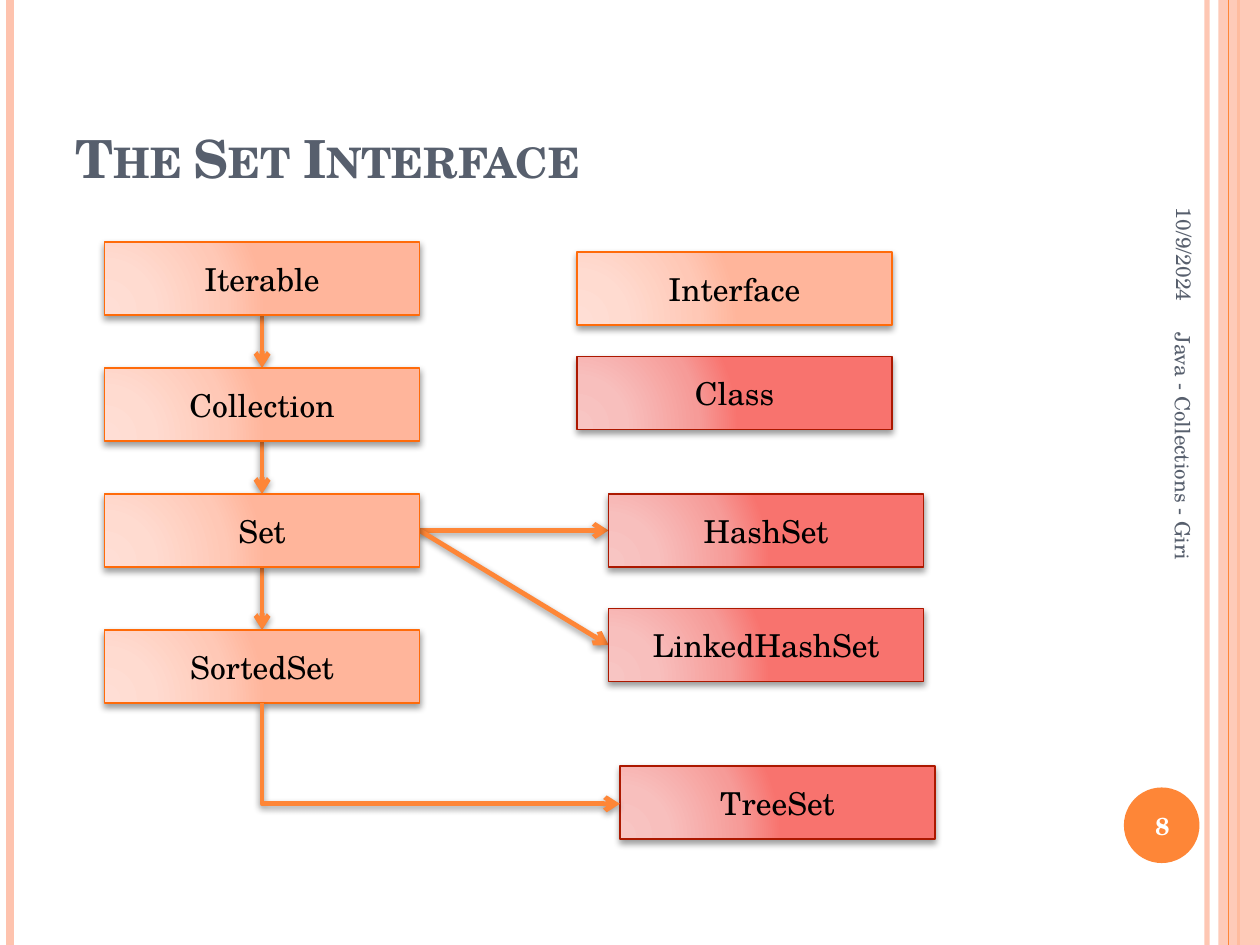
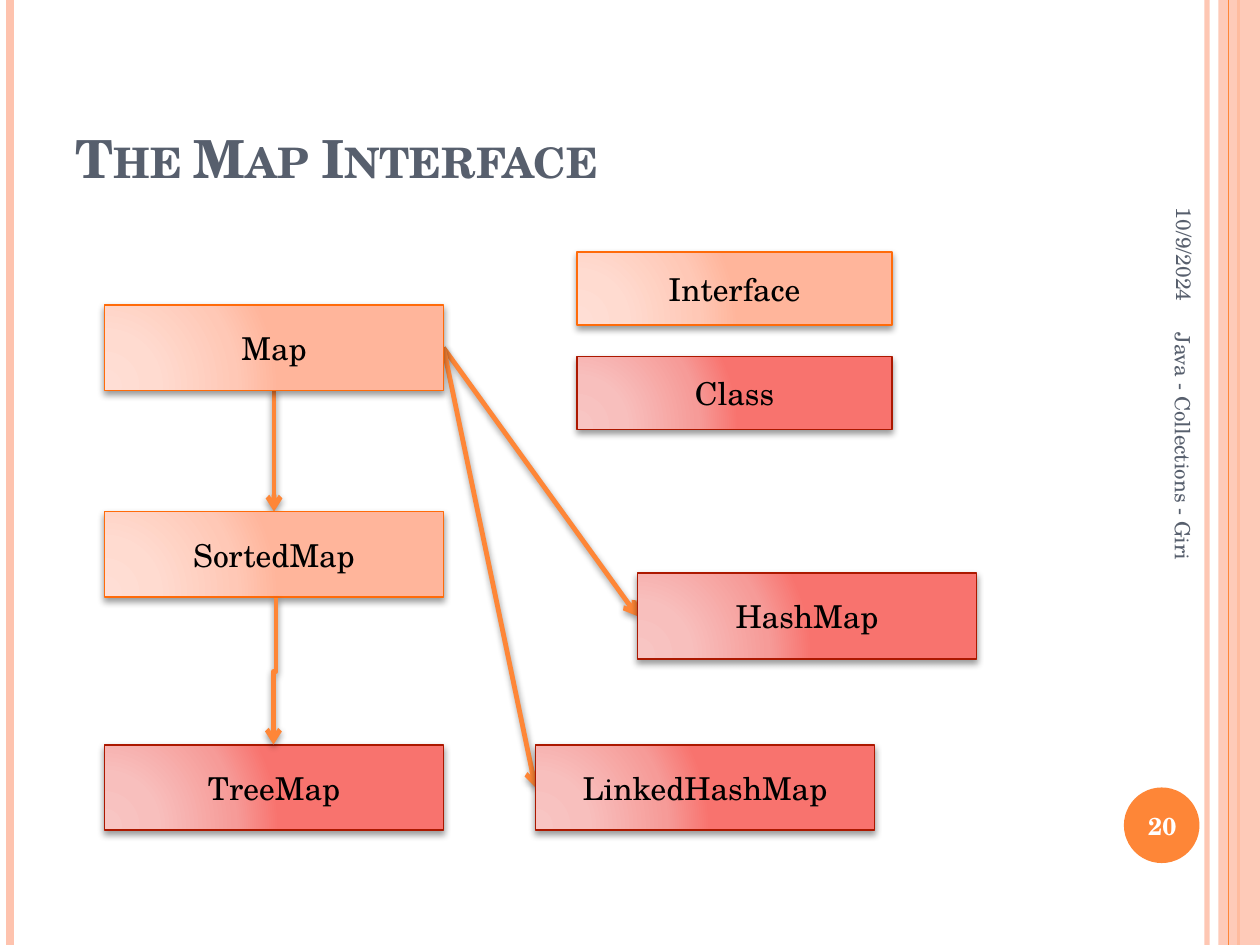
from lxml.etree import SubElement as Sub
from pptx import Presentation
from pptx.dml.color import RGBColor as RGB
from pptx.enum.shapes import MSO_CONNECTOR as Conn, MSO_SHAPE as Shape
from pptx.enum.text import MSO_ANCHOR as Anchor, PP_ALIGN as Align
from pptx.oxml.ns import qn
from pptx.util import Inches, Pt

FONT = "TeX Gyre Schola"
WHITE = RGB(0xFF, 0xFF, 0xFF)
BLACK = RGB(0, 0, 0)
SLATE = RGB(0x57, 0x5F, 0x6D)
ORANGE = RGB(0xFE, 0x86, 0x37)
PEACH = RGB(0xFE, 0xC3, 0xAE)
AMBER = RGB(0xFF, 0x6B, 0x0A)
BRICK = RGB(0xAC, 0x18, 0x00)
PEACHES = (RGB(0xFF, 0xDE, 0xD5), RGB(0xFF, 0xDB, 0xD0),
           RGB(0xFF, 0xC8, 0xB6), RGB(0xFF, 0xB5, 0x9B))
REDS = (RGB(0xF8, 0xC5, 0xC3), RGB(0xF8, 0xBF, 0xBD),
        RGB(0xF6, 0x9B, 0x98), RGB(0xF8, 0x73, 0x6E))
STOPS = (0, 30, 75, 100)
KINDS = {"interface": (PEACHES, AMBER), "class": (REDS, BRICK)}

TOP, LEFT, BOTTOM, RIGHT = range(4)  # connection sites of a rectangle


def node(parent, tag, **attrs):
    """Add an XML child such as a:alpha."""
    return Sub(parent, qn(tag), {key: str(val) for key, val in attrs.items()})


def fade(item, percent):
    """Make the solid colour of a fill or line partly transparent."""
    color = item._element.xpath(".//p:spPr//a:srgbClr")[0]
    node(color, "a:alpha", val=percent * 1000)


def shade(effects, alpha, gap):
    """Add a soft shadow below, gap points away."""
    drop = node(effects, "a:outerShdw", blurRad=Pt(4), dist=Pt(gap),
                dir=90 * 60000, rotWithShape=0)
    color = node(drop, "a:srgbClr", val=BLACK)
    node(color, "a:alpha", val=alpha * 1000)


def blend(shape, colors):
    """Fill a shape with a circular gradient."""
    shape.fill.gradient()
    grad = shape._element.spPr.find(qn("a:gradFill"))
    for child in list(grad):
        grad.remove(child)
    stops = node(grad, "a:gsLst")
    for pos, color in zip(STOPS, colors):
        node(node(stops, "a:gs", pos=pos * 1000), "a:srgbClr", val=color)
    way = node(grad, "a:path", path="circle")
    node(way, "a:fillToRect", l=5000, t=100000, r=120000, b=10000)


def write(shape, text, size=18, color=BLACK, bold=False, small=False,
          align=Align.CENTER, anchor=Anchor.MIDDLE):
    frame = shape.text_frame
    frame.word_wrap = True
    frame.vertical_anchor = anchor
    para = frame.paragraphs[0]
    para.alignment = align
    run = para.add_run()
    run.text = text
    font = run.font
    font.name, font.size, font.bold = FONT, Pt(size), bold
    font.color.rgb = color
    if small:
        font._element.set("cap", "small")


def label(slide, text, x, y, w, h, turn=0, **style):
    area = slide.shapes.add_textbox(Inches(x), Inches(y), Inches(w), Inches(h))
    area.rotation = turn
    write(area, text, **style)


def plain(slide, form, x, y, w, h, color):
    shape = slide.shapes.add_shape(form, Inches(x), Inches(y), Inches(w), Inches(h))
    shape.shadow.inherit = False
    shape.fill.solid()
    shape.fill.fore_color.rgb = color
    shape.line.fill.background()
    return shape


def stroke(slide, start, end, color, width, form=Conn.STRAIGHT):
    """Draw a line; return it with its empty effect list."""
    ends = [Inches(val) for val in (*start, *end)]
    line = slide.shapes.add_connector(form, *ends)
    line.line.color.rgb = color
    line.line.width = Pt(width)
    return line, node(line._element.spPr, "a:effectLst")


def rule(slide, x, color, width):
    return stroke(slide, (x, 0), (x, 7.5), color, width)[0]


def arrow(slide, start, end, form=Conn.STRAIGHT):
    line, effects = stroke(slide, start, end, ORANGE, 2.75, form)
    node(line.line._get_or_add_ln(), "a:tailEnd", type="arrow")
    shade(effects, 42, 1.6)
    return line


def link(slide, first, out, last, into):
    """Glue an arrow to two boxes and put it behind them."""
    line = arrow(slide, (0, 0), (1, 1))
    line.begin_connect(first, out)
    line.end_connect(last, into)
    first._element.addprevious(line._element)


def bend(slide, start, end, preset, turn, flip=False):
    """Draw an elbow arrow that leaves its start downwards."""
    line = arrow(slide, start, end, Conn.ELBOW)
    (x1, y1), (x2, y2) = start, end
    w, h = abs(y2 - y1), abs(x2 - x1)
    line.left, line.top = Inches((x1 + x2 - w) / 2), Inches((y1 + y2 - h) / 2)
    line.width, line.height = Inches(w), Inches(h)
    frame = line._element.spPr.find(qn("a:xfrm"))
    frame.attrib.pop("flipH", None)
    frame.set("rot", str(turn * 60000))
    if flip:
        frame.set("flipH", "1")
    line._element.spPr.find(qn("a:prstGeom")).set("prst", preset)


def box(slide, text, kind, x, y, w=2.5, h=0.58):
    colors, edge = KINDS[kind]
    shape = plain(slide, Shape.RECTANGLE, x, y, w, h, WHITE)
    blend(shape, colors)
    shape.line.color.rgb = edge
    shape.line.width = Pt(1)
    shade(shape._element.spPr.find(qn("a:effectLst")), 40, 2)
    write(shape, text)
    return shape


def legend(slide):
    box(slide, "Interface", "interface", 4.58, 2)
    box(slide, "Class", "class", 4.58, 2.83)


def base(deck, title, number):
    """Add a slide with the shared bands, title and footers."""
    slide = deck.slides.add_slide(deck.slide_layouts[5])
    fade(rule(slide, 9.58, PEACH, 3), 93)
    rule(slide, 0.08, PEACH, 4.5)
    rule(slide, 9.83, ORANGE, 1.5)
    fade(plain(slide, Shape.RECTANGLE, 9.67, 0, 0.33, 7.5, PEACH), 87)
    rule(slide, 9.75, ORANGE, 0.75)
    plain(slide, Shape.OVAL, 8.92, 6.25, 0.6, 0.6, ORANGE)

    head = slide.shapes.title
    head.left, head.top = Inches(0.5), Inches(0.3)
    head.width, head.height = Inches(8.17), Inches(1.25)
    write(head, title, size=30, color=SLATE, bold=True, small=True,
          align=Align.LEFT, anchor=Anchor.BOTTOM)
    label(slide, "10/9/2024", 8.3, 1.18, 2.2, 0.42, turn=90,
          size=12, color=SLATE, align=Align.RIGHT)
    label(slide, str(number), 8.89, 6.27, 0.67, 0.57,
          size=14, color=WHITE, bold=True)
    label(slide, "Java - Collections - Giri", 7.64, 4.09, 3.5, 0.4, turn=90,
          size=12, color=SLATE, align=Align.LEFT)
    return slide


def sets(deck):
    slide = base(deck, "The Set Interface", 8)
    names = ("Iterable", "Collection", "Set", "SortedSet")
    chain = [box(slide, name, "interface", 0.83, y)
             for name, y in zip(names, (1.92, 2.92, 3.92, 5))]
    hashed = box(slide, "HashSet", "class", 4.83, 3.92)
    linked = box(slide, "LinkedHashSet", "class", 4.83, 4.83)
    box(slide, "TreeSet", "class", 4.92, 6.08)
    for upper, lower in zip(chain, chain[1:]):
        link(slide, upper, BOTTOM, lower, TOP)
    for target in (hashed, linked):
        link(slide, chain[2], RIGHT, target, LEFT)
    bend(slide, (2.08, 5.58), (4.92, 6.38), "bentConnector2", 270, flip=True)
    legend(slide)


def maps(deck):
    slide = base(deck, "The Map Interface", 20)
    size = 2.69, 0.68
    top = box(slide, "Map", "interface", 0.83, 2.42, *size)
    mid = box(slide, "SortedMap", "interface", 0.83, 4.06, *size)
    hashed = box(slide, "HashMap", "class", 5.06, 4.55, *size)
    linked = box(slide, "LinkedHashMap", "class", 4.25, 5.91, *size)
    box(slide, "TreeMap", "class", 0.83, 5.91, *size)
    link(slide, top, BOTTOM, mid, TOP)
    for target in (hashed, linked):
        link(slide, top, RIGHT, target, LEFT)
    bend(slide, (2.19, 4.75), (2.17, 5.91), "bentConnector3", 90)
    legend(slide)


def main():
    deck = Presentation()
    deck.slide_width, deck.slide_height = Inches(10), Inches(7.5)
    sets(deck)
    maps(deck)
    deck.save("out.pptx")


if __name__ == "__main__":
    main()
